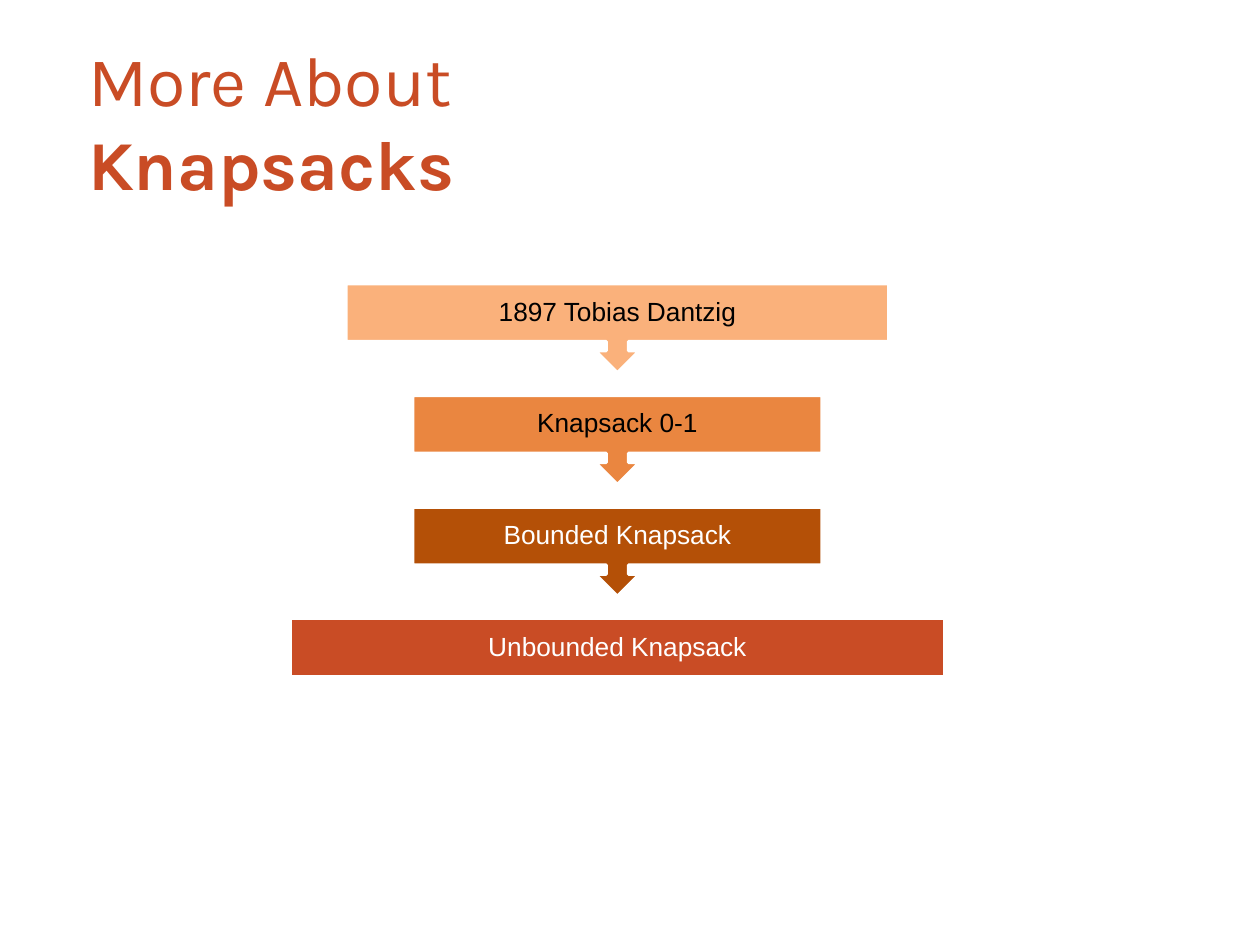
import pptx
import pptx.util
from pptx.dml.color import RGBColor
from pptx.enum.shapes import MSO_SHAPE
from pptx.enum.text import MSO_ANCHOR, PP_ALIGN
from pptx.util import Inches

RUST = RGBColor(0xC9, 0x4C, 0x25)
BROWN = RGBColor(0xB4, 0x50, 0x07)
ORANGE = RGBColor(0xEA, 0x86, 0x40)
PEACH = RGBColor(0xFA, 0xB1, 0x7B)
WHITE = RGBColor(0xFF, 0xFF, 0xFF)
BLACK = RGBColor(0x00, 0x00, 0x00)


def add_span(para, text, font, size, color, bold=False):
    span = para.add_run()
    span.text = text
    span.font.name = font
    span.font.size = pptx.util.Pt(size)
    span.font.color.rgb = color
    span.font.bold = bold


deck = pptx.Presentation()
deck.slide_width = Inches(10)
deck.slide_height = Inches(7.5)
page = deck.slides.add_slide(deck.slide_layouts[6])

# Title
title = page.shapes.add_textbox(Inches(0.5), Inches(0.52), Inches(5.2), Inches(0.87))
frame = title.text_frame
frame.word_wrap = True
frame.vertical_anchor = MSO_ANCHOR.MIDDLE
frame.margin_left = Inches(0.2)
frame.margin_right = 0
para = frame.paragraphs[0]
add_span(para, "More About", "Karla", 40, RUST)
add_span(para, " Knapsacks", "Karla", 40, RUST, bold=True)

# Steps, centred on one axis; all but the last point down to the next
CENTER = 4.9
TOP = 2.25
PITCH = 0.887
CALLOUT = (MSO_SHAPE.DOWN_ARROW_CALLOUT, 0.71)
BAR = (MSO_SHAPE.RECTANGLE, 0.46)
steps = [
    ("1897 Tobias Dantzig", 4.31, PEACH, BLACK, CALLOUT),
    ("Knapsack 0-1", 3.25, ORANGE, BLACK, CALLOUT),
    ("Bounded Knapsack", 3.25, BROWN, WHITE, CALLOUT),
    ("Unbounded Knapsack", 5.2, RUST, WHITE, BAR),
]
for row, (label, width, fill, text_color, (kind, height)) in enumerate(steps):
    step = page.shapes.add_shape(
        kind, Inches(CENTER - width / 2), Inches(TOP + row * PITCH),
        Inches(width), Inches(height))
    step.shadow.inherit = False
    step.fill.solid()
    step.fill.fore_color.rgb = fill
    step.line.color.rgb = WHITE
    step.line.width = pptx.util.Pt(2)
    frame = step.text_frame
    frame.word_wrap = True
    frame.vertical_anchor = MSO_ANCHOR.MIDDLE
    frame.margin_left = frame.margin_right = Inches(0.12)
    frame.margin_top = frame.margin_bottom = Inches(0.12)
    para = frame.paragraphs[0]
    para.alignment = PP_ALIGN.CENTER
    para.line_spacing = 0.9
    add_span(para, label, "Arial", 15, text_color)

deck.save("out.pptx")
